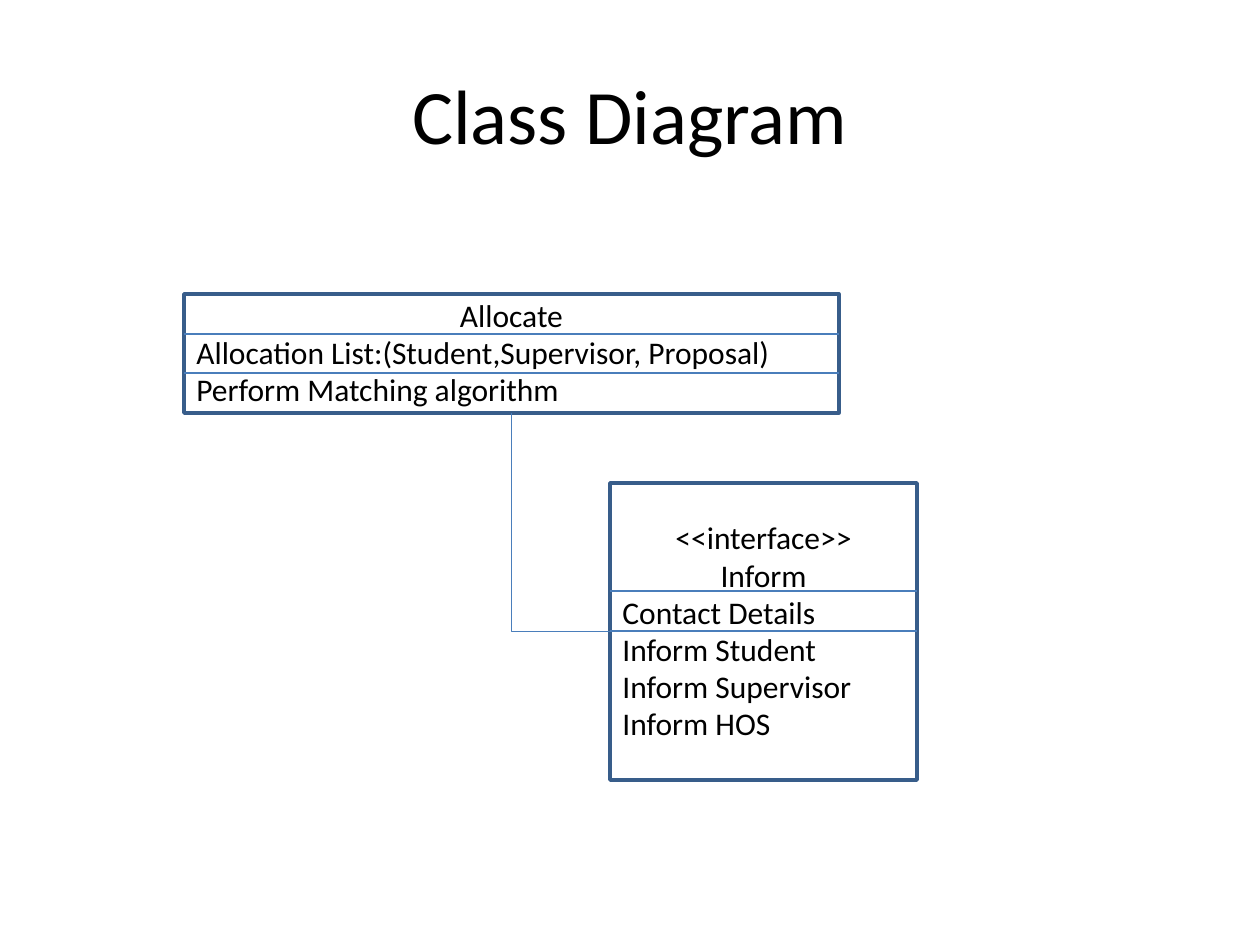
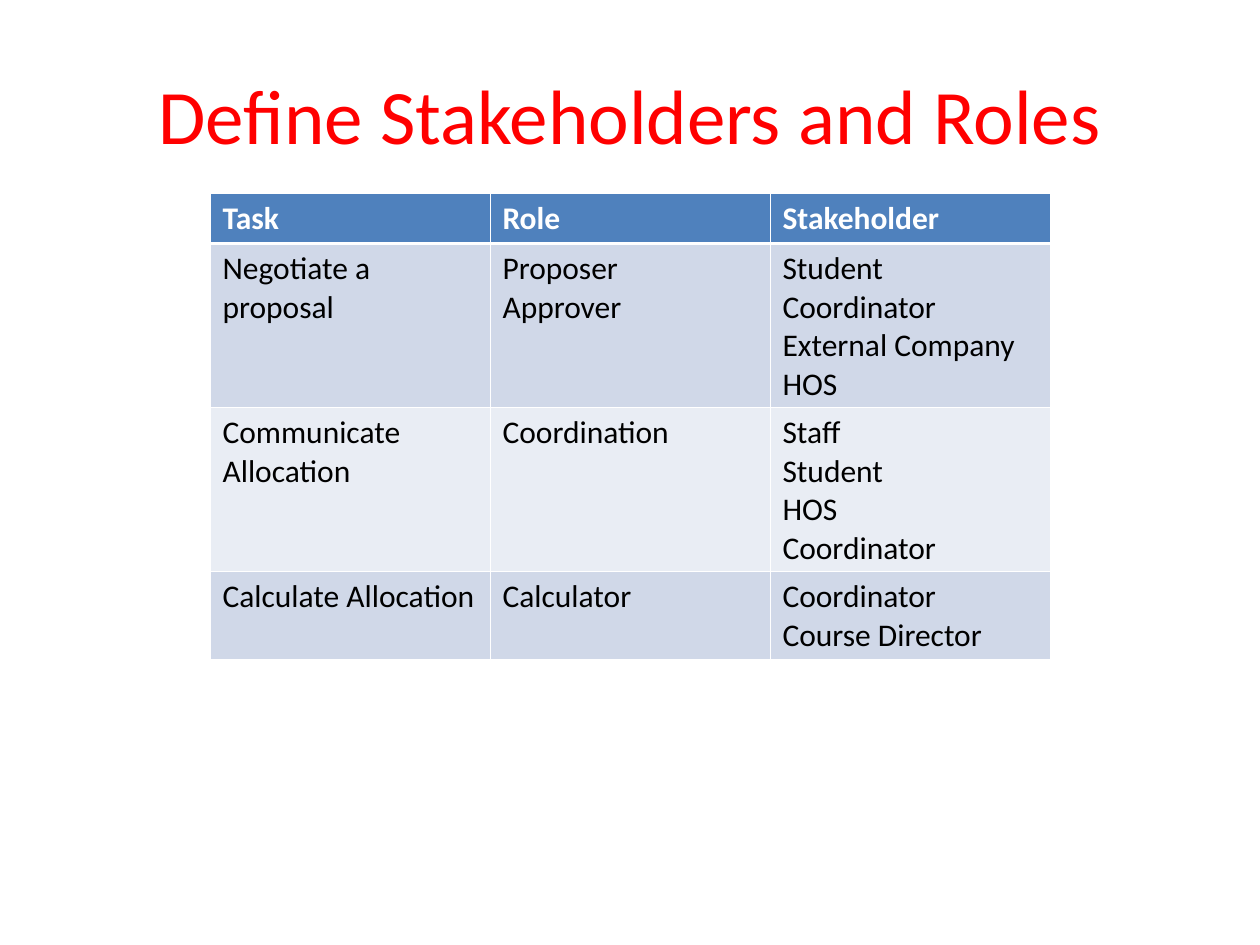
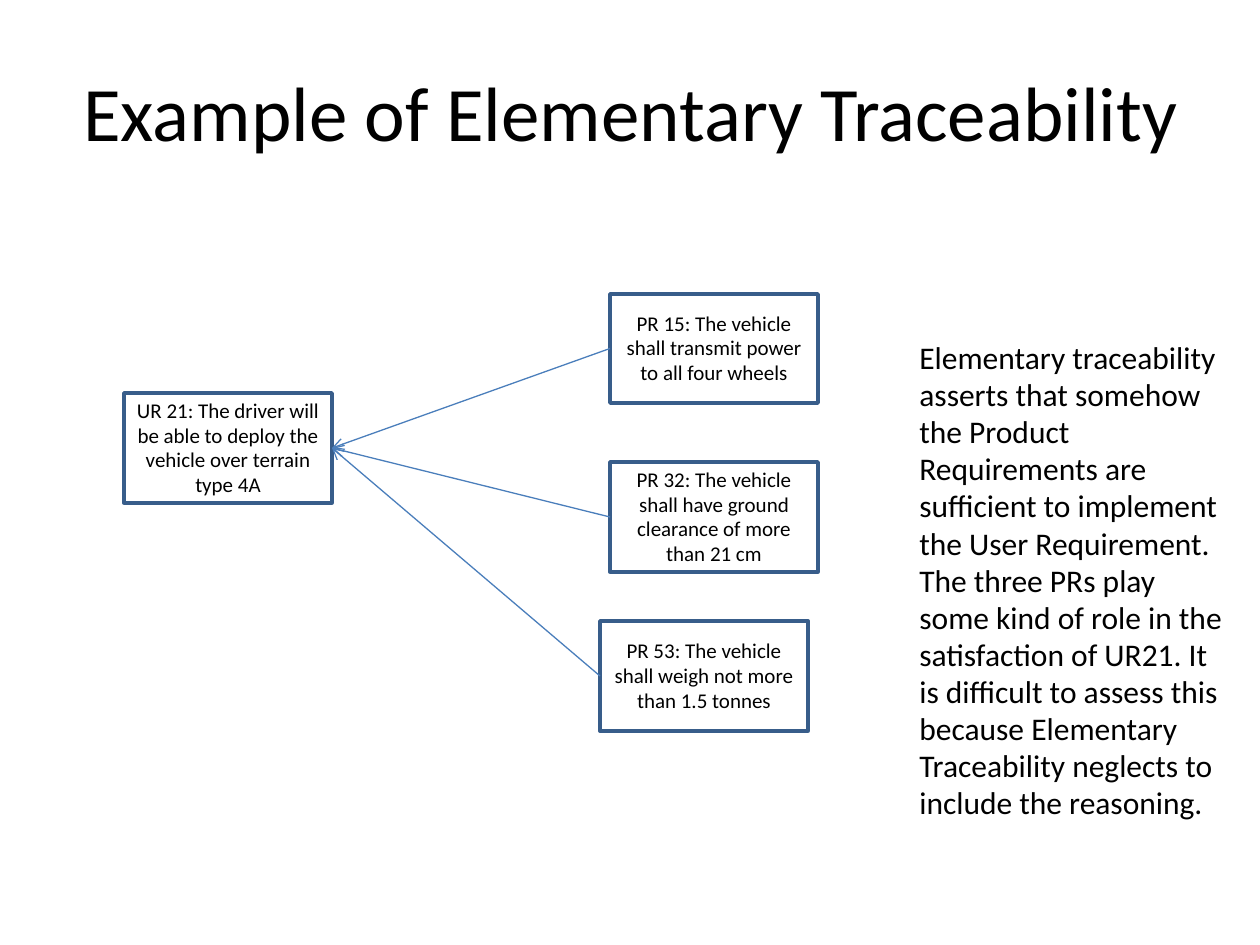
from lxml.etree import SubElement
from pptx import Presentation
from pptx.dml.color import RGBColor
from pptx.enum.shapes import MSO_CONNECTOR, MSO_SHAPE
from pptx.enum.text import MSO_ANCHOR, PP_ALIGN
from pptx.oxml.ns import qn
from pptx.util import Pt

BLACK = RGBColor(0x00, 0x00, 0x00)
WHITE = RGBColor(0xFF, 0xFF, 0xFF)
RED = RGBColor(0xFF, 0x00, 0x00)
OUTLINE = RGBColor(0x38, 0x5D, 0x8A)
LINK = RGBColor(0x4A, 0x7E, 0xBB)
HEADER = RGBColor(0x4F, 0x81, 0xBD)
BANDS = (RGBColor(0xE9, 0xED, 0xF4), RGBColor(0xD0, 0xD8, 0xE8))

FONT = "Calibri"
EMU_PER_INCH = 914400
PX_PER_INCH = 126
LEFT_SITE, BOTTOM_SITE, RIGHT_SITE = 1, 2, 3
THIN, THICK = 0.45, 1.47

TITLE_BOX = (63, 38, 1134, 158)
TRACE_TITLE_BOX = (64, 35, 1134, 158)
ALLOCATE_BOX = (184, 294, 655, 119)
INFORM_BOX = (610, 483, 307, 297)
ROLES_BOX = (210, 193, 840, 466)
USER_BOX = (124, 393, 208, 110)
ASSERTION_BOX = (907, 334, 328, 542)

ROLE_ROW_HEIGHTS = (50, 164, 164, 88)
ROLES = (
    ("Task", "Role", "Stakeholder"),
    ("Negotiate a proposal", "Proposer\nApprover",
     "Student\nCoordinator\nExternal Company\nHOS"),
    ("Communicate Allocation", "Coordination",
     "Staff\nStudent\nHOS\nCoordinator"),
    ("Calculate Allocation", "Calculator", "Coordinator\nCourse Director"),
)
USER_REQUIREMENT = ("UR 21: The driver will be able to deploy the vehicle "
                    "over terrain type 4A")
PRODUCT_REQUIREMENTS = (
    ((610, 294, 208, 109),
     "PR 15: The vehicle shall transmit power to all four wheels"),
    ((610, 462, 208, 110),
     "PR 32: The vehicle shall have ground clearance of more than 21 cm"),
    ((600, 621, 208, 110),
     "PR 53: The vehicle shall weigh not more than 1.5 tonnes"),
)
ASSERTION = (
    "Elementary traceability asserts that somehow the Product Requirements "
    "are sufficient to implement the User Requirement. The three PRs play "
    "some kind of role in the satisfaction of UR21. It is difficult to assess "
    "this because Elementary Traceability neglects to include the reasoning."
)


def px(*lengths):
    """Turn pixel lengths into EMU."""
    return [round(length * EMU_PER_INCH / PX_PER_INCH) for length in lengths]


def apply(target, values):
    """Set each attribute of the target from a dict."""
    for name, value in values.items():
        setattr(target, name, value)


def write(frame, text, size=18, color=BLACK, bold=False, centred=0, spacing=0.98):
    """Write lines as paragraphs, centring the first few."""
    frame.word_wrap = True
    frame.text = text
    for index, paragraph in enumerate(frame.paragraphs):
        align = PP_ALIGN.CENTER if index < centred else PP_ALIGN.LEFT
        apply(paragraph, {"alignment": align, "line_spacing": spacing})
        apply(paragraph.font, {"name": FONT, "size": Pt(size), "bold": bold})
        paragraph.font.color.rgb = color


def add_title(slide, text, box=TITLE_BOX, color=BLACK):
    """Place the slide title."""
    frame = slide.shapes.add_textbox(*px(*box)).text_frame
    frame.vertical_anchor = MSO_ANCHOR.MIDDLE
    write(frame, text, 44, color, centred=1)


def add_outlined_box(slide, box, text, size, centred):
    """Draw an unfilled rectangle with text."""
    rectangle = slide.shapes.add_shape(MSO_SHAPE.RECTANGLE, *px(*box))
    rectangle.shadow.inherit = False
    rectangle.fill.background()
    rectangle.line.color.rgb = OUTLINE
    rectangle.line.width = Pt(2)
    rectangle.text_frame.vertical_anchor = MSO_ANCHOR.MIDDLE
    write(rectangle.text_frame, text, size, centred=centred)
    return rectangle


def add_link(slide, kind, start=(0, 0), end=(0, 0)):
    """Draw a thin connector."""
    link = slide.shapes.add_connector(kind, *px(*start, *end))
    link.line.color.rgb = LINK
    link.line.width = Pt(0.75)
    SubElement(link._element.spPr, qn("a:effectLst"))
    return link


def add_class(slide, box, text, centred, dividers):
    """Draw a class with its compartments divided."""
    left, top, width, _ = box
    class_box = add_outlined_box(slide, box, text, 18, centred)
    for offset in dividers:
        y = top + offset
        add_link(slide, MSO_CONNECTOR.STRAIGHT, (left, y), (left + width, y))
    return class_box


def add_border(cell, side, width):
    """Give one side of a cell a white border."""
    border = SubElement(cell._tc.get_or_add_tcPr(), qn(f"a:ln{side}"),
                        w=str(Pt(width)))
    fill = SubElement(border, qn("a:solidFill"))
    SubElement(fill, qn("a:srgbClr"), val=str(WHITE))


def add_roles_table(slide, box):
    """Build the table of tasks, roles and stakeholders."""
    table = slide.shapes.add_table(len(ROLES), len(ROLES[0]), *px(*box)).table
    for row, height in zip(table.rows, ROLE_ROW_HEIGHTS):
        row.height = px(height)[0]
    for row, texts in enumerate(ROLES):
        header = row == 0
        sides = {"L": THIN, "R": THIN, "T": THICK if row == 1 else THIN,
                 "B": THICK if header else THIN}
        for column, text in enumerate(texts):
            cell = table.cell(row, column)
            for side, width in sides.items():
                add_border(cell, side, width)
            cell.fill.solid()
            cell.fill.fore_color.rgb = HEADER if header else BANDS[row % 2]
            write(cell.text_frame, text, color=WHITE if header else BLACK,
                  bold=header, spacing=1.0)


def build_class_diagram(slide):
    """Build the class diagram slide."""
    add_title(slide, "Class Diagram")
    allocate = add_class(
        slide, ALLOCATE_BOX,
        "Allocate\nAllocation List:(Student,Supervisor, Proposal)\n"
        "Perform Matching algorithm", 1, (40, 79))
    inform = add_class(
        slide, INFORM_BOX,
        "<<interface>>\nInform\nContact Details\nInform Student\n"
        "Inform Supervisor\nInform HOS", 2, (108, 148))
    association = add_link(slide, MSO_CONNECTOR.ELBOW)
    association.begin_connect(inform, LEFT_SITE)
    association.end_connect(allocate, BOTTOM_SITE)
    geometry = association._element.spPr.find(qn("a:prstGeom"))
    geometry.set("prst", "bentConnector2")


def build_stakeholders(slide):
    """Build the stakeholders and roles slide."""
    add_title(slide, "Define Stakeholders and Roles", color=RED)
    add_roles_table(slide, ROLES_BOX)


def build_traceability(slide):
    """Build the elementary traceability slide."""
    add_title(slide, "Example of Elementary Traceability", TRACE_TITLE_BOX)
    user = add_outlined_box(slide, USER_BOX, USER_REQUIREMENT, 12, 1)
    for box, text in PRODUCT_REQUIREMENTS:
        product = add_outlined_box(slide, box, text, 12, 1)
        trace = add_link(slide, MSO_CONNECTOR.STRAIGHT)
        trace.begin_connect(product, LEFT_SITE)
        trace.end_connect(user, RIGHT_SITE)
        SubElement(trace.line._get_or_add_ln(), qn("a:tailEnd"), type="arrow")
    assertion = slide.shapes.add_textbox(*px(*ASSERTION_BOX))
    write(assertion.text_frame, ASSERTION)


def main():
    """Build and save the presentation."""
    deck = Presentation()
    deck.slide_width, deck.slide_height = px(1260, 945)
    blank = deck.slide_layouts[6]
    for build in (build_class_diagram, build_stakeholders, build_traceability):
        build(deck.slides.add_slide(blank))
    deck.save("out.pptx")


if __name__ == "__main__":
    main()
